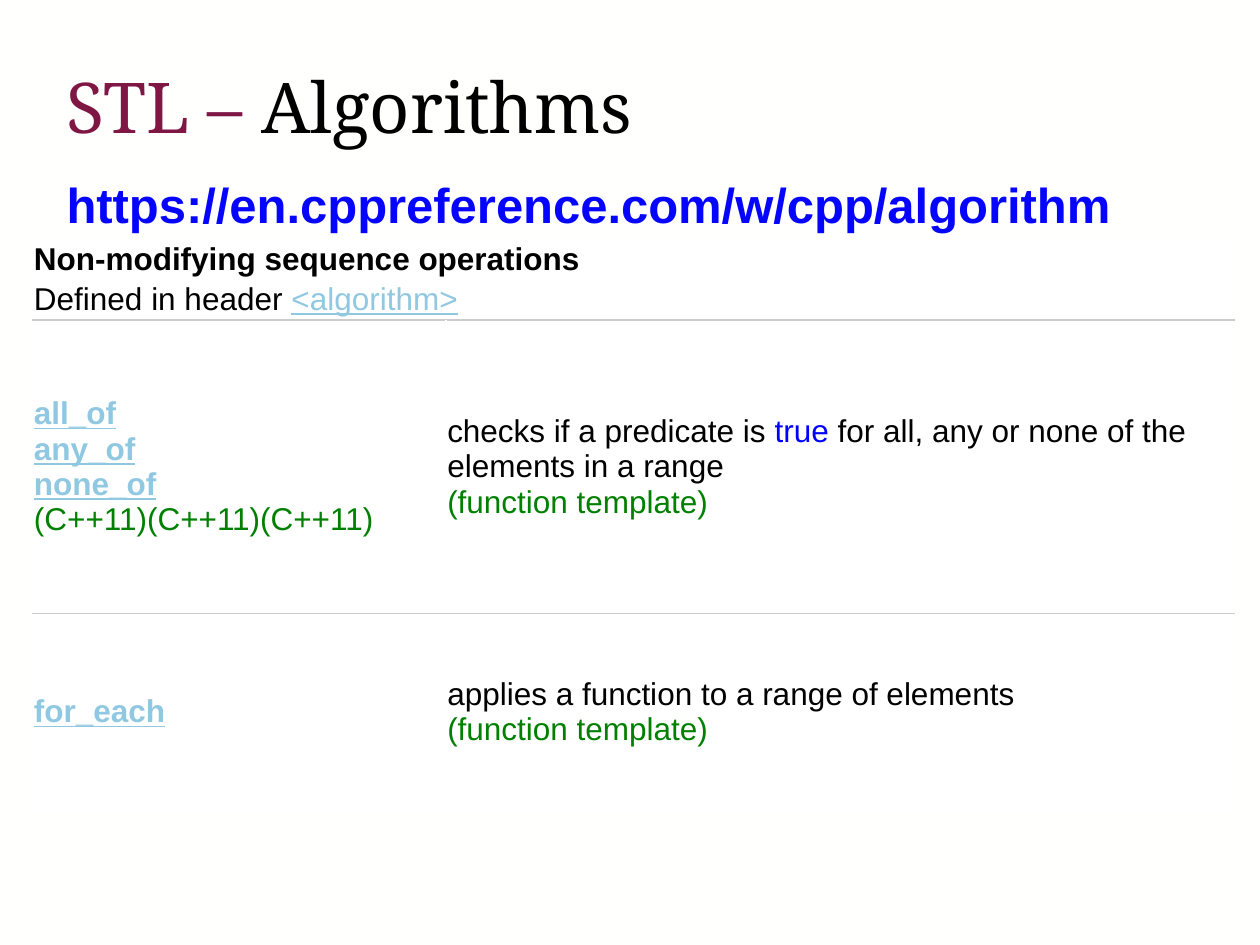
from pptx import Presentation
from pptx import util as u
from pptx.dml.color import RGBColor
from pptx.enum import text
from pptx.oxml import parse_xml
from pptx.oxml.ns import nsdecls

BLACK, LINK, GREEN, BLUE = "000000", "91C8E1", "008000", "0000FF"
RULE = "CCCCCC"
KIND = "(function template)"


def color(code):
    return RGBColor.from_string(code)


def add_run(par, words, code, size=18, font="Arial", bold=False, line=False):
    run = par.add_run()
    run.text = words
    run.font.size = u.Pt(size)
    run.font.name = font
    run.font.bold = bold
    run.font.underline = line
    run.font.color.rgb = color(code)


def add_title(slide, box):
    title = slide.shapes.title
    title.left, title.top, title.width, title.height = map(u.Inches, box)
    frame = title.text_frame
    frame.vertical_anchor = text.MSO_ANCHOR.MIDDLE
    par = frame.paragraphs[0]
    par.alignment = text.PP_ALIGN.LEFT
    add_run(par, "STL –", "7F1745", 40, "Noto Serif")
    add_run(par, " Algorithms", BLACK, 40, "Noto Serif")


def add_address(slide, box):
    frame = slide.shapes.add_textbox(*map(u.Inches, box)).text_frame
    frame.word_wrap = True
    frame.vertical_anchor = text.MSO_ANCHOR.BOTTOM
    add_run(frame.paragraphs[0], "https://en.cppreference.com/w/cpp/algorithm",
            "0505FF", 28, bold=True)


def add_rule(cell, side):
    cell._tc.get_or_add_tcPr().insert(0, parse_xml(
        f'<a:{side} {nsdecls("a")} w="{u.Pt(0.75)}"><a:solidFill>'
        f'<a:srgbClr val="{RULE}"/></a:solidFill></a:{side}>'))


def fill_cell(cell, pars):
    cell.fill.solid()
    cell.fill.fore_color.rgb = color("FFFFFF")
    cell.vertical_anchor = text.MSO_ANCHOR.MIDDLE
    cell.margin_left = cell.margin_right = u.Inches(0.01)
    cell.margin_top = cell.margin_bottom = u.Inches(0.01)
    frame = cell.text_frame
    for i, runs in enumerate(pars):
        par = frame.add_paragraph() if i else frame.paragraphs[0]
        for words, code, *style in runs:
            if words == KIND:
                par.add_line_break()
            add_run(par, words, code, bold="b" in style, line="u" in style)


def add_grid(slide, box):
    cols, rows = (3.28, 6.26), (0.27, 0.27, 2.33, 1.56)
    table = slide.shapes.add_table(
        len(rows), len(cols), *map(u.Inches, box)).table
    table.first_row = table.horz_banding = False
    for col, width in zip(table.columns, cols):
        col.width = u.Inches(width)
    for row, height in zip(table.rows, rows):
        row.height = u.Inches(height)

    names = [[(name, LINK, "b", "u")] for name in ("all_of", "any_of", "none_of")]
    cells = [
        [[[("Non-modifying sequence operations", BLACK, "b")]]],
        [[[("Defined in header ", BLACK), ("<algorithm>", LINK, "u")]]],
        [names + [[("(C++11)(C++11)(C++11)", GREEN)]],
         [[("checks if a predicate is ", BLACK), ("true ", BLUE),
           ("for all, any or none of the elements in a range", BLACK),
           (KIND, GREEN)]]],
        [[[("for_each", LINK, "b", "u")]],
         [[("applies a function to a range of elements", BLACK),
           (KIND, GREEN)]]],
    ]
    for r, line in enumerate(cells):
        if len(line) == 1:
            table.cell(r, 0).merge(table.cell(r, 1))
        for c, pars in enumerate(line):
            fill_cell(table.cell(r, c), pars)
        for c in range(len(cols)):
            if r in (1, 2):
                add_rule(table.cell(r, c), "lnB")
            if r in (2, 3):
                add_rule(table.cell(r, c), "lnT")


def main():
    deck = Presentation()
    deck.slide_width, deck.slide_height = u.Inches(10), u.Inches(7.5)
    slide = deck.slides.add_slide(deck.slide_layouts[5])
    back = slide.background.fill
    back.solid()
    back.fore_color.rgb = color("FFFFFE")
    add_title(slide, (0.43, 0.21, 8.5, 1.25))
    add_address(slide, (0.43, 0.86, 9.13, 1.04))
    add_grid(slide, (0.26, 1.9, 9.54, 4.43))
    deck.save("out.pptx")


if __name__ == "__main__":
    main()
